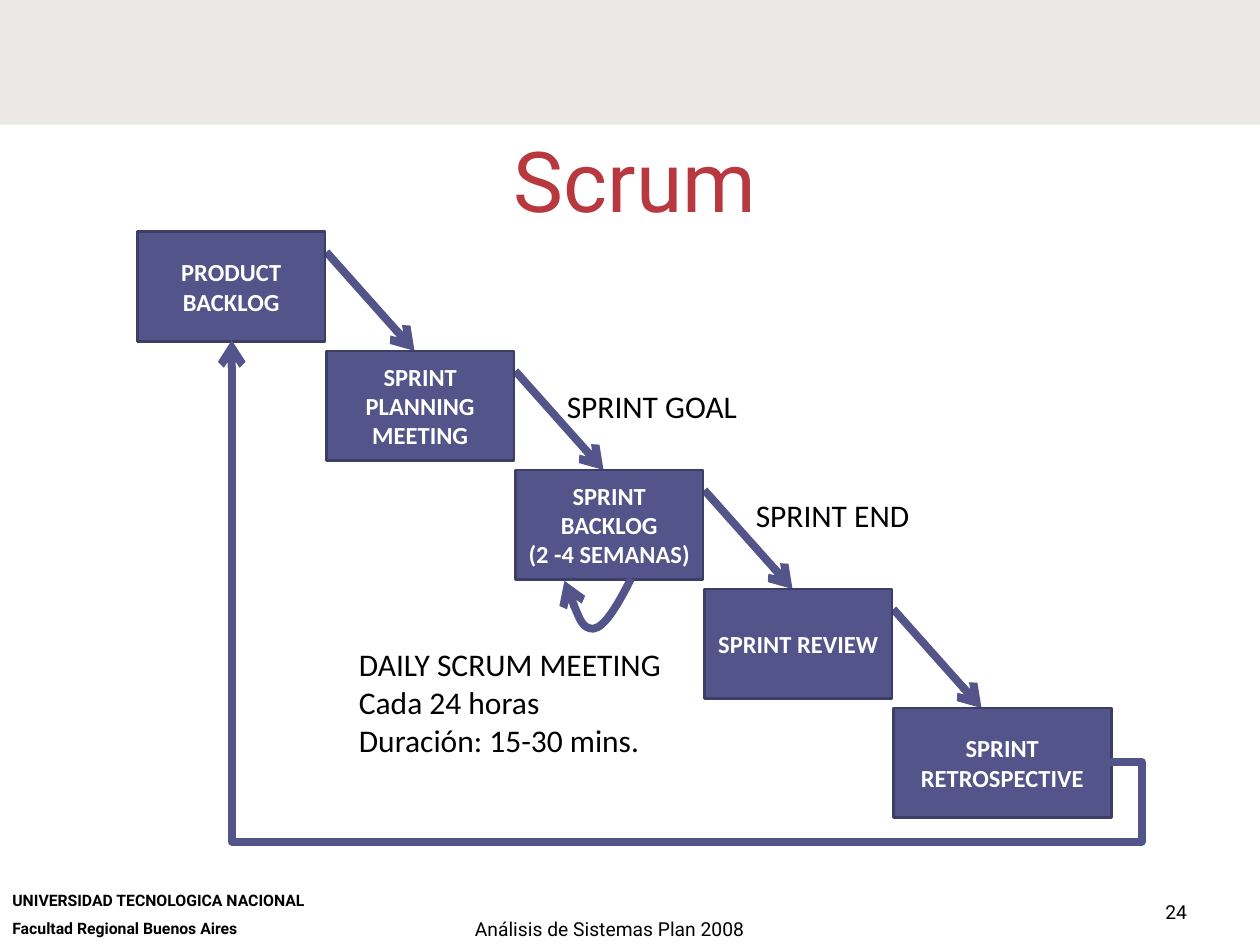
from lxml import etree
from pptx import Presentation
from pptx import util as u
from pptx.dml.color import RGBColor
from pptx.enum import shapes, text
from pptx.oxml.ns import qn

COLORS = {"banner": "ECE8E7", "title": "B7383F", "step": "53548A",
          "edge": "3D3E66", "white": "FFFFFF", "black": "000000"}

STEPS = [
    ["PRODUCT BACKLOG"],
    ["SPRINT PLANNING MEETING"],
    ["SPRINT BACKLOG", "(2 -4 SEMANAS)"],
    ["SPRINT REVIEW"],
    ["SPRINT RETROSPECTIVE"],
]
NOTES = [  # lines, (left, top, width, height)
    (["SPRINT GOAL"], (4.4, 3.02, 1.57, 0.4)),
    (["DAILY SCRUM MEETING", "Cada 24 horas", "Duración: 15-30 mins."],
     (2.75, 5.07, 2.62, 1.01)),
    (["SPRINT END"], (5.9, 3.89, 1.43, 0.4)),
]
FOOTERS = [  # lines, (left, top, width, height), format
    (["UNIVERSIDAD TECNOLOGICA NACIONAL", "Facultad Regional Buenos Aires"],
     (0, 7.02, 3.05, 0.48), {"size": 9, "bold": True, "gap": 5}),
    (["Análisis de Sistemas Plan 2008"], (3.67, 7.23, 2.51, 0.27), {"size": 11}),
    (["24"], (9.15, 7.1, 0.83, 0.4), {"size": 11}),
]
DAILY_LOOP = [(5.01, 4.59), (4.91, 4.79), (4.8, 4.98), (4.71, 4.99),
              (4.62, 4.99), (4.55, 4.8), (4.48, 4.61)]

FIRST_LEFT, FIRST_TOP = 1.09, 1.84
STEP_RIGHT, STEP_DOWN = 1.5, 0.945
BOX_WIDTH, LAST_WIDTH, BOX_HEIGHT = 1.49, 1.73, 0.87


def color(name):
    return RGBColor.from_string(COLORS[name])


def inches(values):
    return [u.Inches(value) for value in values]


def write(shape, lines, font="Calibri", size=18, ink="black", bold=False, gap=0,
          align=text.PP_ALIGN.LEFT, anchor=text.MSO_ANCHOR.TOP, wrap=True):
    frame = shape.text_frame
    frame.auto_size = text.MSO_AUTO_SIZE.NONE
    frame.word_wrap = wrap
    frame.vertical_anchor = anchor
    for index, line in enumerate(lines):
        para = frame.add_paragraph() if index else frame.paragraphs[0]
        para.alignment = align
        if index:
            para.space_before = u.Pt(gap)
        span = para.add_run()
        span.text = line
        span.font.name, span.font.size, span.font.bold = font, u.Pt(size), bold
        span.font.color.rgb = color(ink)


def add_box(page, place, fill, edge=None):
    box = page.shapes.add_shape(shapes.MSO_SHAPE.RECTANGLE, *inches(place))
    box.shadow.inherit = False
    box.fill.solid()
    box.fill.fore_color.rgb = color(fill)
    if edge:
        box.line.color.rgb = color(edge)
        box.line.width = u.Pt(1.5)
    else:
        box.line.fill.background()
    return box


def style_arrow(line):
    line.color.rgb = color("step")
    line.width = u.Pt(4.5)
    etree.SubElement(line._get_or_add_ln(), qn("a:tailEnd"), type="arrow")


def add_arrow(page, start, end, kind=shapes.MSO_CONNECTOR.STRAIGHT):
    arrow = page.shapes.add_connector(kind, *inches(start + end))
    style_arrow(arrow.line)
    etree.SubElement(arrow._element.spPr, qn("a:effectLst"))
    return arrow


def add_return_arrow(page, start, end, adjustments):
    """Four-segment elbow that leaves the last step and ends under the first."""
    arrow = add_arrow(page, start, end, shapes.MSO_CONNECTOR.ELBOW)
    geometry = arrow._element.spPr.find(qn("a:prstGeom"))
    geometry.set("prst", "bentConnector4")
    guides = geometry.find(qn("a:avLst"))
    if guides is None:
        guides = etree.SubElement(geometry, qn("a:avLst"))
    for number, value in enumerate(adjustments, 1):
        etree.SubElement(guides, qn("a:gd"), name=f"adj{number}",
                         fmla=f"val {round(value * 100000)}")


def add_curved_arrow(page, points):
    """Open Bézier path: a start point, then three points per segment."""
    builder = page.shapes.build_freeform(*inches(points[0]))
    builder.add_line_segments([inches(point) for point in points[1:]], close=False)
    curve = builder.convert_to_shape()
    curve.shadow.inherit = False
    curve.fill.background()
    style_arrow(curve.line)
    path = next(curve._element.iter(qn("a:path")))
    for index, segment in enumerate(path.findall(qn("a:lnTo"))):
        if index % 3 == 0:
            bezier = etree.SubElement(path, qn("a:cubicBezTo"))
        bezier.append(segment[0])
        path.remove(segment)


def main():
    deck = Presentation()
    deck.slide_width, deck.slide_height = u.Inches(10), u.Inches(7.5)
    page = deck.slides.add_slide(deck.slide_layouts[5])

    add_box(page, (0, -0.03, 10, 1.02), "banner")
    title = page.shapes.title
    title.left, title.top, title.width, title.height = inches((0.79, 1.09, 8.5, 0.78))
    write(title, ["Scrum"], font="Roboto", size=48, ink="title",
          align=text.PP_ALIGN.CENTER, anchor=text.MSO_ANCHOR.BOTTOM)

    corners = [(FIRST_LEFT + STEP_RIGHT * index, FIRST_TOP + STEP_DOWN * index)
               for index in range(len(STEPS))]
    for left, top in corners[:-1]:
        add_arrow(page, (left + STEP_RIGHT, top + 0.16),
                  (left + STEP_RIGHT + 0.7, top + STEP_DOWN))
    for (left, top), lines in zip(corners, STEPS):
        width = LAST_WIDTH if lines is STEPS[-1] else BOX_WIDTH
        box = add_box(page, (left, top, width, BOX_HEIGHT), "step", "edge")
        write(box, lines, size=14, ink="white", bold=True,
              align=text.PP_ALIGN.CENTER, anchor=text.MSO_ANCHOR.MIDDLE)

    add_curved_arrow(page, DAILY_LOOP)
    add_return_arrow(page, (8.81, 6.05), (1.84, 2.7), (-0.036, -0.188))

    for lines, place in NOTES:
        write(page.shapes.add_textbox(*inches(place)), lines, wrap=False)
    for lines, place, style in FOOTERS:
        write(page.shapes.add_textbox(*inches(place)), lines, font="Roboto", **style)

    deck.save("out.pptx")


if __name__ == "__main__":
    main()
